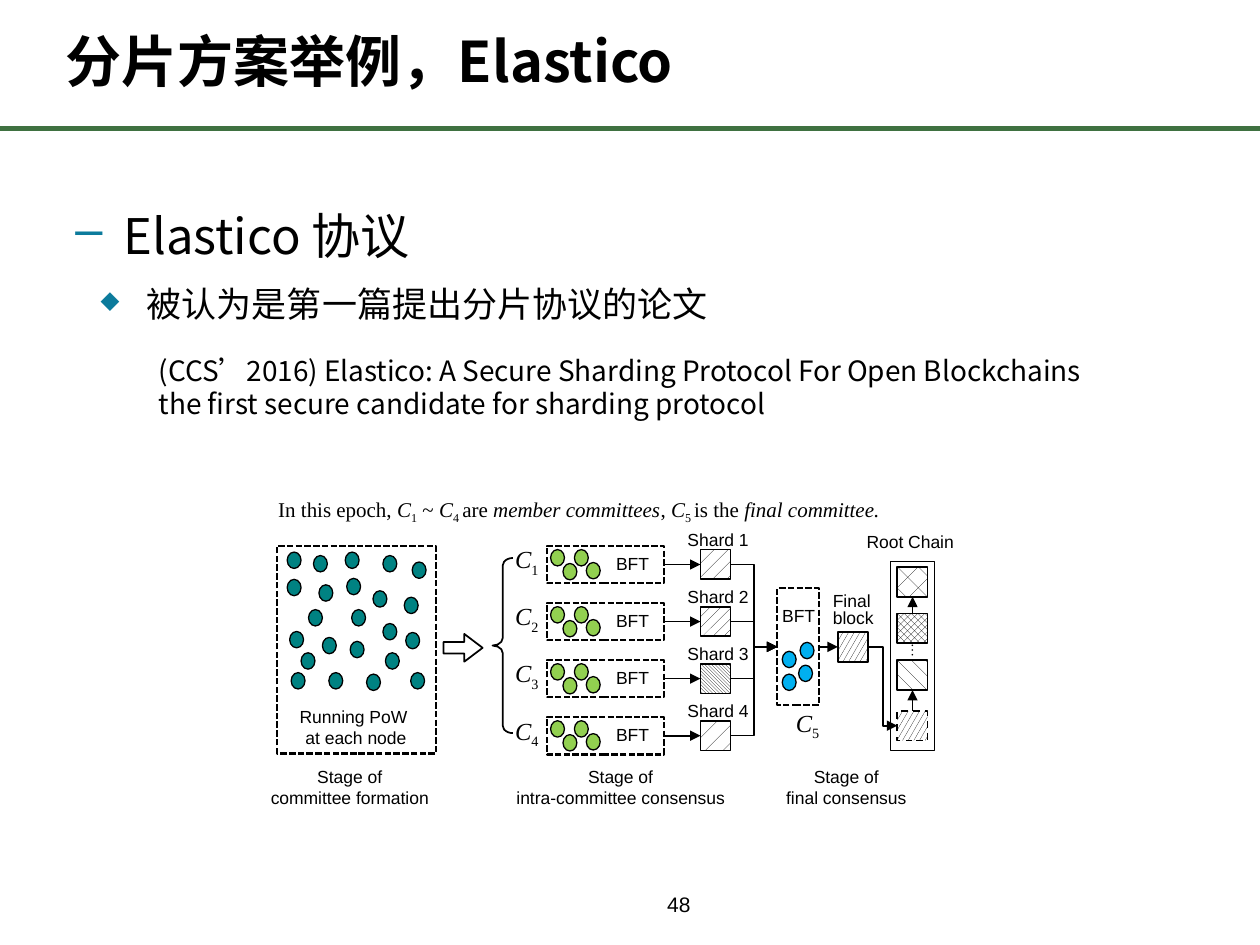
from pptx import Presentation
from pptx.dml.color import RGBColor
from pptx.enum.dml import MSO_LINE, MSO_PATTERN
from pptx.enum.shapes import MSO_CONNECTOR, MSO_SHAPE
from pptx.enum.text import MSO_ANCHOR, PP_ALIGN
from pptx.oxml.ns import qn
from pptx.util import Cm, Pt
from lxml.etree import SubElement

NOTO = "Noto Sans CJK SC"
TIMES = "Times New Roman"
BLACK, WHITE = "000000", "FFFFFF"
NODES = [
    (5.79, 11.13), (5.79, 11.68), (6.32, 11.2), (6.96, 11.13), (6.43, 11.79),
    (7.52, 11.91), (6.22, 12.29), (5.84, 12.73), (6.5, 12.85), (6.99, 11.66),
    (8.31, 11.33), (7.72, 12.57), (6.07, 13.16), (5.87, 13.56), (6.63, 13.56),
    (7.09, 12.29), (7.06, 12.93), (7.77, 13.16), (8.28, 13.56), (7.39, 13.59),
    (7.72, 11.2), (8.15, 12.04), (8.18, 12.75),
]
MEMBERS = [(0.08, 0.08), (0.56, 0.08), (0.33, 0.36), (0.8, 0.34)]
FINALS = [(15.77, 13.13), (16.13, 12.95), (16.1, 13.41), (15.77, 13.59)]
SHARDS = [MSO_PATTERN.PERCENT_10, MSO_PATTERN.PERCENT_20,
          MSO_PATTERN.LIGHT_DOWNWARD_DIAGONAL, MSO_PATTERN.PERCENT_5]
CHAIN = [(11.43, MSO_PATTERN.DIAGONAL_BRICK), (12.37, MSO_PATTERN.OUTLINED_DIAMOND),
         (13.31, MSO_PATTERN.SHINGLE), (14.33, MSO_PATTERN.LARGE_CONFETTI)]
STAGES = [(5.13, 3.84, "committee formation"), (10.11, 4.8, "intra-committee consensus"),
          (15.14, 3.84, "final consensus")]


def color(code):
    """Turn a hex string into a colour."""
    return RGBColor.from_string(code)


def span(*sizes):
    """Turn centimetre numbers into lengths."""
    return [Cm(size) for size in sizes]


def add_run(par, text, size, font, style=""):
    """Add one run; style letters are b bold, i italic, s subscript."""
    run = par.add_run()
    run.text = text
    face = run.font
    face.size, face.name = Pt(size), font
    face.bold, face.italic = "b" in style, "i" in style
    face.color.rgb = color(BLACK)
    props = run._r.get_or_add_rPr()
    SubElement(props, qn("a:ea")).set("typeface", font)
    if "s" in style:
        props.set("baseline", "-25000")


def add_text(slide, place, lines, size=10, font="Arial", align=PP_ALIGN.LEFT,
             wrap=False, pitch=None):
    """Add a text box; each line is a list of (text, style) runs."""
    box = slide.shapes.add_textbox(*span(*place))
    frame = box.text_frame
    frame.word_wrap = wrap
    for num, runs in enumerate(lines):
        par = frame.add_paragraph() if num else frame.paragraphs[0]
        par.alignment = align
        if pitch:
            par.line_spacing = Pt(pitch)
        for text, style in runs:
            add_run(par, text, size, font, style)
    return box


def add_label(slide, place, *words, **opts):
    """Add plain lines of text."""
    return add_text(slide, place, [[(word, "")] for word in words], **opts)


def add_shape(slide, kind, place, fill=None, width=1, dash=None):
    """Add a black outlined shape, empty, plain or patterned."""
    shape = slide.shapes.add_shape(kind, *span(*place))
    shape.shadow.inherit = False
    if fill is None:
        shape.fill.background()
    elif isinstance(fill, str):
        shape.fill.solid()
        shape.fill.fore_color.rgb = color(fill)
    else:
        shape.fill.patterned()
        shape.fill.pattern = fill
        shape.fill.fore_color.rgb = color(BLACK)
        shape.fill.back_color.rgb = color(WHITE)
    shape.line.color.rgb = color(BLACK)
    shape.line.width = Pt(width)
    if dash:
        shape.line.dash_style = dash
    return shape


def add_frame(slide, *place):
    """Add a dashed frame."""
    return add_shape(slide, MSO_SHAPE.RECTANGLE, place, None, 1.25, MSO_LINE.SQUARE_DOT)


def add_block(slide, left, top, fill):
    """Add a patterned block."""
    return add_shape(slide, MSO_SHAPE.RECTANGLE, (left, top, 0.61, 0.6), fill)


def add_dots(slide, spots, fill, left=0, top=0):
    """Add node dots, shifted by left and top."""
    for x, y in spots:
        add_shape(slide, MSO_SHAPE.OVAL, (left + x, top + y, 0.28, 0.33), fill, 0.75)


def add_line(slide, ends, kind=MSO_CONNECTOR.STRAIGHT, tone=BLACK, width=1, arrow=True):
    """Add a line, with an arrowhead at its end by default."""
    line = slide.shapes.add_connector(kind, *span(*ends))
    line.line.color.rgb = color(tone)
    line.line.width = Pt(width)
    if arrow:
        SubElement(line._element.spPr.find(qn("a:ln")), qn("a:tailEnd")).set("type", "triangle")
    SubElement(line._element.spPr, qn("a:effectLst"))
    return line


def join(slide, start, out, end, into):
    """Join two shapes with a straight arrow."""
    line = add_line(slide, (0, 0, 1, 1))
    line.begin_connect(start, out)
    line.end_connect(end, into)


def add_name(slide, left, top, num):
    """Add a committee name with its index."""
    add_text(slide, (left, top, 1.02, 0.86), [[("C", "i"), (str(num), "s")]],
             14, TIMES, PP_ALIGN.CENTER)


def add_bullet(par, mark, left, hang, scale):
    """Give a paragraph a coloured bullet and a hanging indent."""
    props = par._p.get_or_add_pPr()
    props.set("marL", str(Cm(left)))
    props.set("indent", str(-Cm(hang)))
    tone = SubElement(props, qn("a:buClr"))
    SubElement(tone, qn("a:srgbClr")).set("val", "0C7B9C")
    SubElement(props, qn("a:buSzPct")).set("val", str(scale * 1000))
    SubElement(props, qn("a:buChar")).set("char", mark)


def add_body(slide):
    """Add the title, the bullets, the citation and the page number."""
    add_line(slide, (0, 2.59, 25.4, 2.59), tone="3F7141", width=3, arrow=False)
    page = add_label(slide, (1.07, 17.78, 23.24, 0.71), "48", size=12, wrap=True, pitch=20)
    frame = page.text_frame
    frame.margin_left, frame.margin_top, frame.margin_bottom = span(12.38, 0, 0)
    frame.vertical_anchor = MSO_ANCHOR.BOTTOM
    title = add_text(slide, (1.07, 0.55, 23.01, 1.47), [[("分片方案举例，Elastico", "b")]],
                     32, NOTO, wrap=True, pitch=36)
    title.text_frame.vertical_anchor = MSO_ANCHOR.BOTTOM
    body = slide.shapes.add_textbox(*span(0, 3.94, 23.11, 13.56)).text_frame
    body.word_wrap = True
    head, note = body.paragraphs[0], body.add_paragraph()
    add_bullet(head, "–", 2.24, 0.97, 100)
    add_bullet(note, "◆", 2.71, 0.93, 70)
    add_run(head, "Elastico 协议", 28, NOTO)
    add_run(note, "被认为是第一篇提出分片协议的论文", 20, NOTO)
    head.line_spacing, note.line_spacing = Pt(36), Pt(28)
    head.space_after, note.space_before = Pt(4), Pt(2)
    add_label(slide, (2.95, 7.01, 19.25, 1.63),
              "(CCS’2016) Elastico: A Secure Sharding Protocol For Open Blockchains "
              "the first secure candidate for sharding protocol",
              size=16, font=NOTO, wrap=True, pitch=19)


def add_forming(slide):
    """Add the epoch note and the committee formation stage."""
    add_text(slide, (5.36, 9.88, 13.51, 0.76), [[
        ("In this epoch, ", ""), ("C", "i"), ("1", "s"), (" ~ ", ""), ("C", "i"),
        ("4 ", "s"), ("are ", ""), ("member committees", "i"), (", ", ""), ("C", "i"),
        ("5 ", "s"), ("is the ", ""), ("final committee.", "i")]], 12, TIMES, wrap=True)
    add_frame(slide, 5.59, 11, 3.2, 4.19)
    add_dots(slide, NODES, "008282")
    add_label(slide, (5.74, 14.1, 2.87, 1.12), "Running PoW ", "at each node",
              align=PP_ALIGN.CENTER, wrap=True)
    arrow = add_shape(slide, MSO_SHAPE.RIGHT_ARROW, (8.94, 12.78, 0.79, 0.56))
    arrow.adjustments[0], arrow.adjustments[1] = 0.41, 0.66
    brace = add_shape(slide, MSO_SHAPE.LEFT_BRACE, (9.93, 11.25, 0.41, 3.53))
    brace.adjustments[0] = 0.37


def add_shards(slide):
    """Add the four member committees and their shards."""
    for row, fill in enumerate(SHARDS):
        top = 11 + 1.15 * row
        group = add_frame(slide, 11.02, top, 2.36, 0.76)
        shard = add_block(slide, 14.12, top + 0.08, fill)
        add_label(slide, (12.17, top + 0.03, 1.19, 0.69), "BFT")
        add_dots(slide, MEMBERS, "92D050", 11.02, top)
        join(slide, group, 3, shard, 1)
        add_name(slide, 10.11, top - 0.15, row + 1)
        add_label(slide, (13.61, top - 0.46, 1.75, 0.69), f"Shard {row + 1}")
        add_line(slide, (14.73, top + 0.38, 15.67, 13.04), MSO_CONNECTOR.ELBOW)


def add_final(slide):
    """Add the final committee, its block and the root chain."""
    group = add_frame(slide, 15.67, 11.86, 0.84, 2.36)
    block = add_block(slide, 16.89, 12.74, MSO_PATTERN.LARGE_CONFETTI)
    add_label(slide, (15.52, 12.07, 1.19, 0.69), "BFT")
    add_dots(slide, FINALS, "00B0F0")
    join(slide, group, 3, block, 1)
    add_name(slide, 15.77, 14.15, 5)
    add_label(slide, (16.54, 11.84, 1.37, 0.97), "Final", "block", wrap=True, pitch=10)
    add_shape(slide, MSO_SHAPE.RECTANGLE, (17.95, 11.32, 0.89, 3.81))
    add_label(slide, (17.22, 10.57, 2.29, 0.69), "Root Chain")
    links = [add_block(slide, 18.09, top, fill) for top, fill in CHAIN]
    links[3].line.dash_style = MSO_LINE.DASH
    join(slide, links[1], 0, links[0], 2)
    join(slide, links[3], 0, links[2], 2)
    gap = add_label(slide, (17.91, 12.8, 0.79, 0.61), "…", size=8, font=TIMES)
    gap.rotation = 270
    add_line(slide, (17.5, 13.04, 18.09, 14.63), MSO_CONNECTOR.ELBOW)


def main():
    """Build the slide and save it."""
    deck = Presentation()
    deck.slide_width, deck.slide_height = span(25.4, 19.05)
    slide = deck.slides.add_slide(deck.slide_layouts[6])
    add_body(slide)
    add_forming(slide)
    add_shards(slide)
    add_final(slide)
    for left, width, name in STAGES:
        add_label(slide, (left, 15.32, width, 1.12), "Stage of", name,
                  align=PP_ALIGN.CENTER, wrap=True)
    deck.save("out.pptx")


if __name__ == "__main__":
    main()
